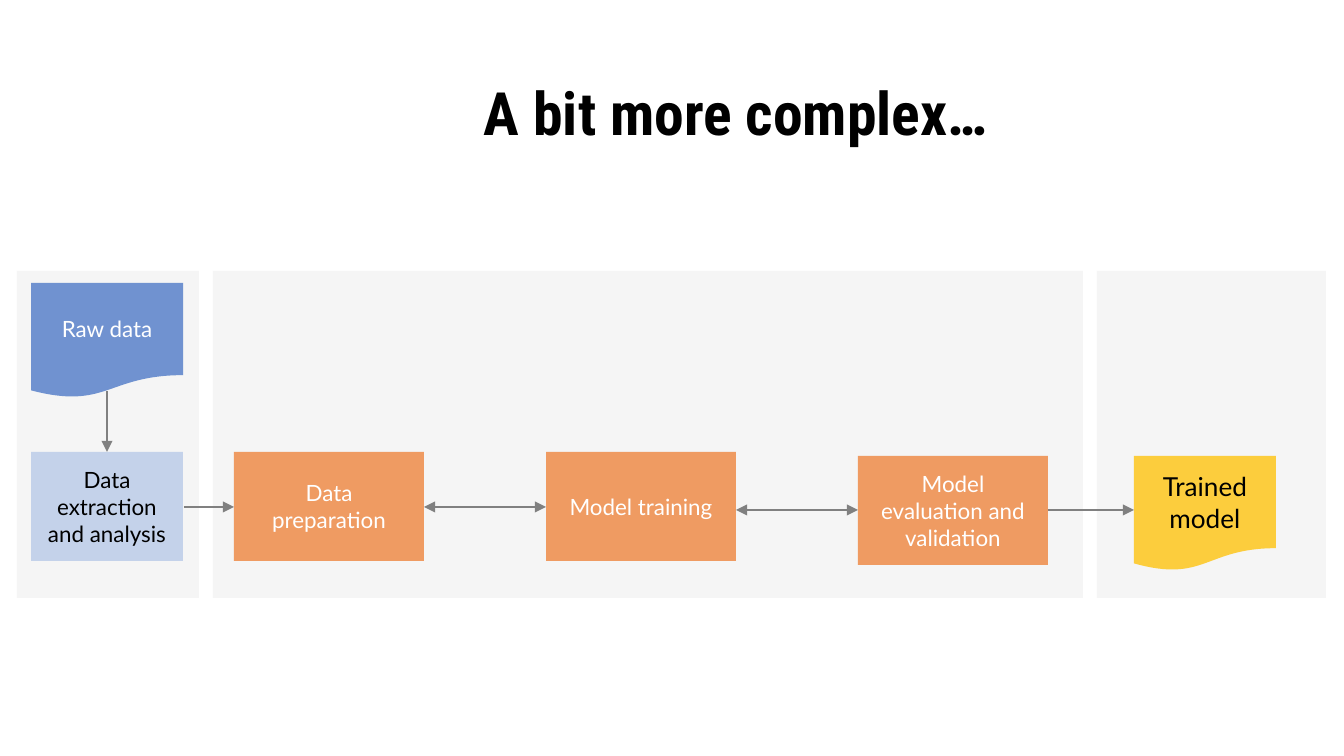
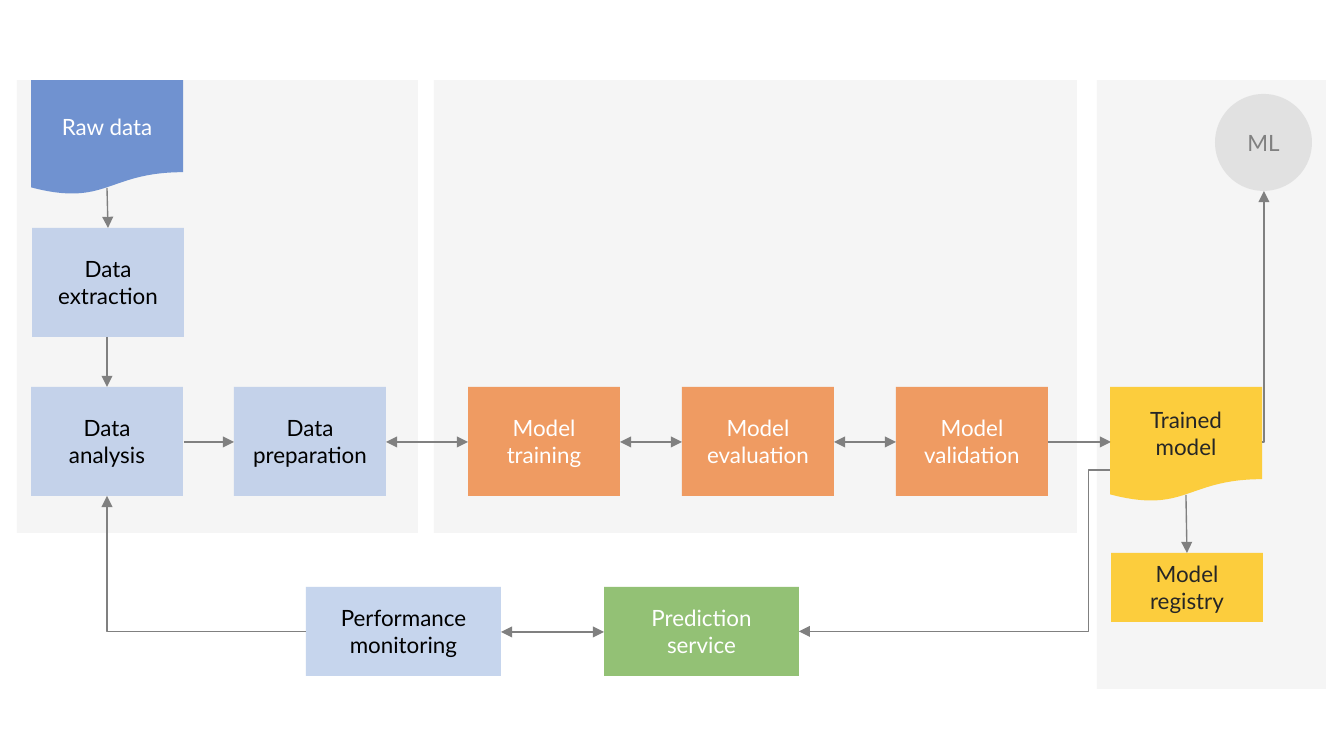
from lxml import etree
from pptx import Presentation
from pptx.dml.color import RGBColor
from pptx.enum.shapes import MSO_CONNECTOR, MSO_SHAPE
from pptx.enum.text import MSO_ANCHOR, PP_ALIGN
from pptx.oxml.ns import qn
from pptx.util import Emu, Pt

RECTANGLE = MSO_SHAPE.RECTANGLE
DOCUMENT = MSO_SHAPE.FLOWCHART_DOCUMENT
OVAL = MSO_SHAPE.OVAL
STRAIGHT = MSO_CONNECTOR.STRAIGHT
ELBOW = MSO_CONNECTOR.ELBOW
CENTER = PP_ALIGN.CENTER
MIDDLE = MSO_ANCHOR.MIDDLE

PX = 914400 / 134.4
color = RGBColor.from_string

PANEL, DISC, GRAY = "EDEDED", "DBDBDB", "808080"
BLUE, LIGHT_BLUE, ORANGE = "4472C4", "B4C7E7", "ED7D31"
YELLOW, GREEN = "FFC000", "70AD47"
BLACK, DARK, WHITE = "000000", "262626", "FFFFFF"


def add_box(slide, kind, bounds, fill, text="", text_color=BLACK, size=12, opacity=75):
    """Add a translucent shape with centred text."""
    shape = slide.shapes.add_shape(kind, *[Emu(round(v * PX)) for v in bounds])
    shape.shadow.inherit = False
    shape.line.fill.background()
    shape.fill.solid()
    shape.fill.fore_color.rgb = color(fill)
    fill_color = shape._element.spPr.find(qn("a:solidFill"))[0]
    etree.SubElement(fill_color, qn("a:alpha"), val=str(opacity * 1000))
    if text:
        frame = shape.text_frame
        frame.word_wrap = True
        frame.vertical_anchor = MIDDLE
        paragraph = frame.paragraphs[0]
        paragraph.text = text
        paragraph.alignment = CENTER
        paragraph.font.name = "Lato"
        paragraph.font.size = Pt(size)
        paragraph.font.color.rgb = color(text_color)
    return shape


def add_arrow(slide, ends, both=False, kind=STRAIGHT):
    """Add a gray connector with an arrowhead at its end, or at both ends."""
    connector = slide.shapes.add_connector(kind, *[Emu(round(v * PX)) for v in ends])
    connector.line.color.rgb = color(GRAY)
    connector.line.width = Pt(0.75)
    line = connector.line._get_or_add_ln()
    if both:
        etree.SubElement(line, qn("a:headEnd"), type="triangle")
    etree.SubElement(line, qn("a:tailEnd"), type="triangle")
    etree.SubElement(connector._element.spPr, qn("a:effectLst"))
    return connector


presentation = Presentation()
presentation.slide_width = Emu(round(1344 * PX))
presentation.slide_height = Emu(round(756 * PX))
blank = presentation.slide_layouts[6]

# Slide 1: short pipeline
slide = presentation.slides.add_slide(blank)

for left, width in [(17, 182), (213, 870), (1097, 229)]:
    add_box(slide, RECTANGLE, (left, 271, width, 327), PANEL, opacity=50)

add_box(slide, RECTANGLE, (31, 452, 152, 109), LIGHT_BLUE, "Data extraction and analysis")
steps = [("Data preparation", 452), ("Model training", 452),
         ("Model evaluation and validation", 456)]
for i, (text, top) in enumerate(steps):
    add_box(slide, RECTANGLE, (234 + 312 * i, top, 190, 109), ORANGE, text, WHITE)

for ends, both in [
    ((107, 391, 107, 452), False),
    ((184, 507, 234, 507), False),
    ((424, 507, 546, 507), True),
    ((736, 510, 858, 510), True),
    ((1048, 510, 1134, 510), False),
]:
    add_arrow(slide, ends, both)

add_box(slide, DOCUMENT, (1134, 456, 142, 115), YELLOW, "Trained model", size=14)
add_box(slide, DOCUMENT, (31, 283, 152, 115), BLUE, "Raw data", WHITE)

# Title
title = slide.shapes.add_textbox(*[Emu(round(v * PX)) for v in (410, 69, 652, 89)])
title.text_frame.word_wrap = True
paragraph = title.text_frame.paragraphs[0]
paragraph.text = "A bit more complex…"
paragraph.alignment = CENTER
paragraph.font.name = "Roboto Condensed"
paragraph.font.size = Pt(32)
paragraph.font.bold = True
paragraph.font.color.rgb = color(BLACK)

# Slide 2: full pipeline
slide = presentation.slides.add_slide(blank)

for left, width, height in [(434, 643, 453), (17, 401, 453), (1097, 229, 609)]:
    add_box(slide, RECTANGLE, (left, 80, width, height), PANEL, opacity=50)

# Data and model steps
add_box(slide, RECTANGLE, (32, 228, 152, 109), LIGHT_BLUE, "Data extraction")
analysis = add_box(slide, RECTANGLE, (31, 387, 152, 109), LIGHT_BLUE, "Data analysis")
add_box(slide, RECTANGLE, (234, 387, 152, 109), LIGHT_BLUE, "Data preparation")
for i, text in enumerate(["Model training", "Model evaluation", "Model validation"]):
    add_box(slide, RECTANGLE, (468 + 214 * i, 387, 152, 109), ORANGE, text, WHITE)

# Serving
add_box(slide, RECTANGLE, (1111, 553, 152, 69), YELLOW, "Model registry", DARK)
monitoring = add_box(slide, RECTANGLE, (306, 587, 195, 89), LIGHT_BLUE,
                     "Performance monitoring")
prediction = add_box(slide, RECTANGLE, (604, 587, 195, 89), GREEN,
                     "Prediction service", WHITE)
ml = add_box(slide, OVAL, (1215, 94, 97, 97), DISC, "ML", GRAY)

for ends, both in [
    ((107, 337, 107, 387), False),
    ((184, 442, 234, 442), False),
    ((386, 442, 468, 442), True),
    ((620, 442, 682, 442), True),
    ((834, 442, 896, 442), True),
    ((1048, 442, 1111, 442), False),
    ((501, 632, 604, 632), True),
    ((107, 188, 108, 228), False),
    ((1186, 495, 1187, 553), False),
]:
    add_arrow(slide, ends, both)

add_box(slide, DOCUMENT, (31, 80, 152, 115), BLUE, "Raw data", WHITE)
trained = add_box(slide, DOCUMENT, (1110, 387, 152, 115), YELLOW, "Trained model", DARK)

# Trained model to prediction service, turning close to its start
feed = add_arrow(slide, (1110, 470, 799, 632), kind=ELBOW)
feed.end_connect(prediction, 3)
geometry = feed._element.spPr.find(qn("a:prstGeom"))
adjustments = geometry.find(qn("a:avLst"))
if adjustments is None:
    adjustments = etree.SubElement(geometry, qn("a:avLst"))
etree.SubElement(adjustments, qn("a:gd"), name="adj1", fmla="val 6800")

# Single-bend arrows: monitoring back to analysis, trained model up to ML
feedback = add_arrow(slide, (306, 632, 107, 496), kind=ELBOW)
feedback.begin_connect(monitoring, 1)
feedback.end_connect(analysis, 2)
release = add_arrow(slide, (1262, 442, 1264, 191), kind=ELBOW)
for connector in (feedback, release):
    connector._element.spPr.find(qn("a:prstGeom")).set("prst", "bentConnector2")

presentation.save("out.pptx")
